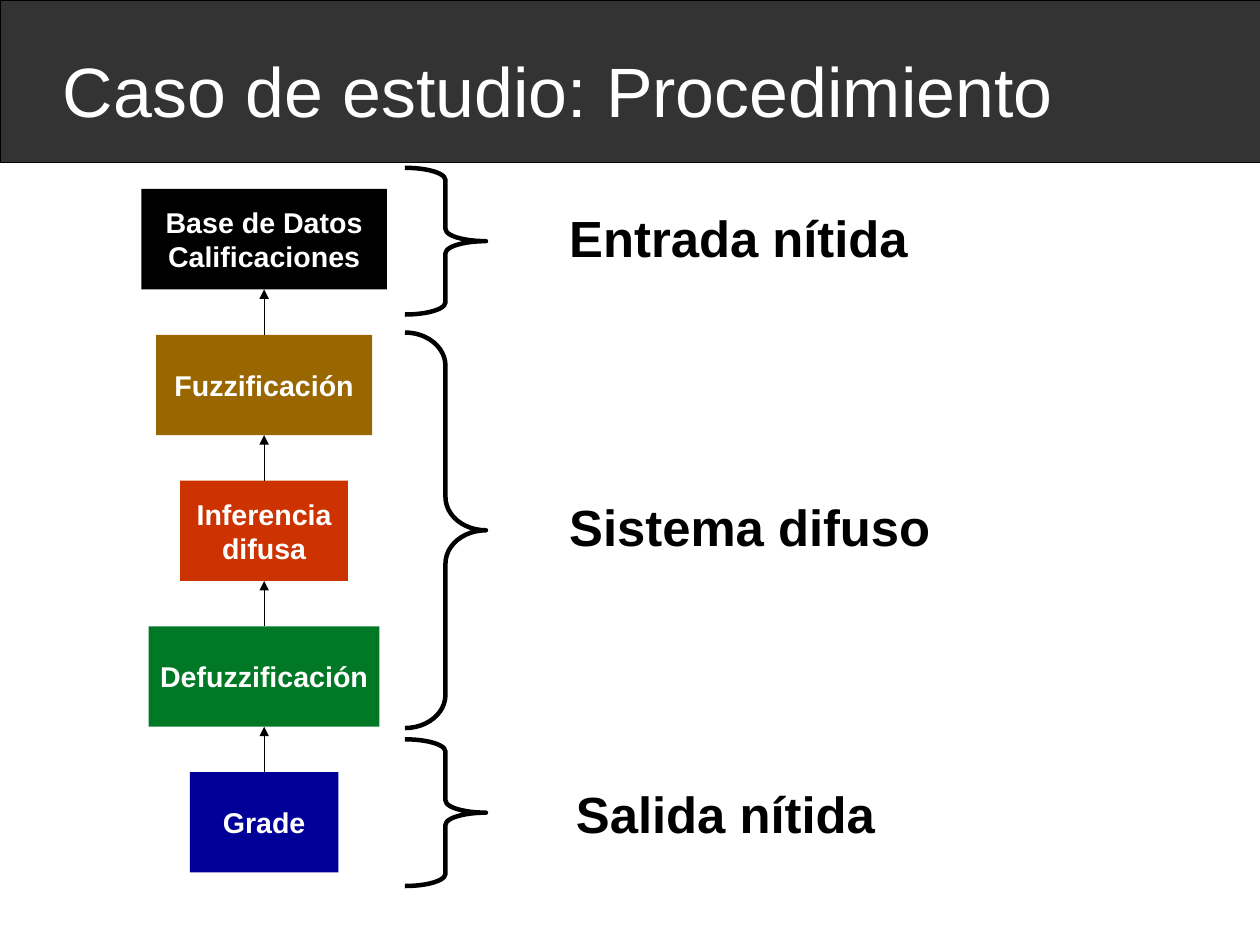
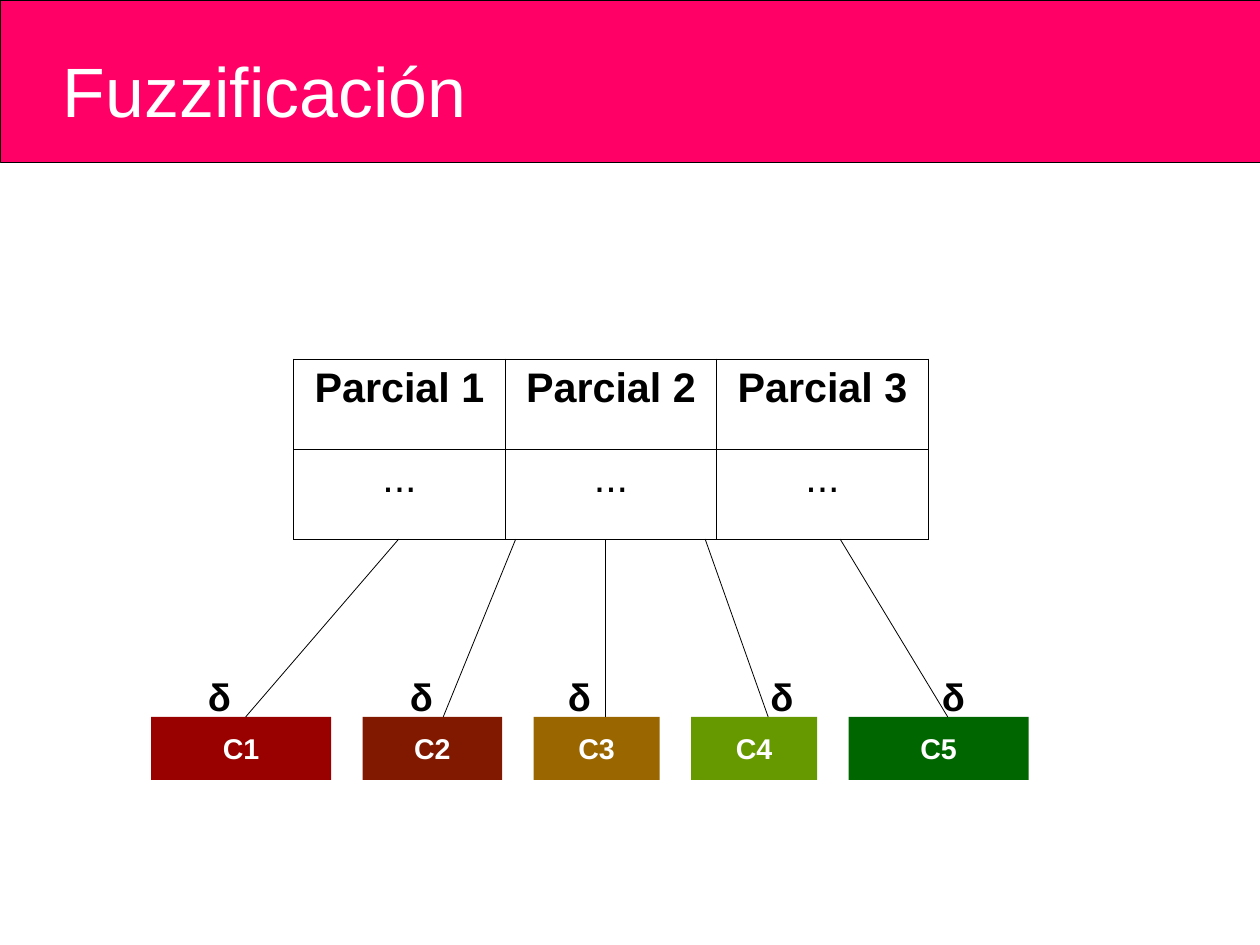
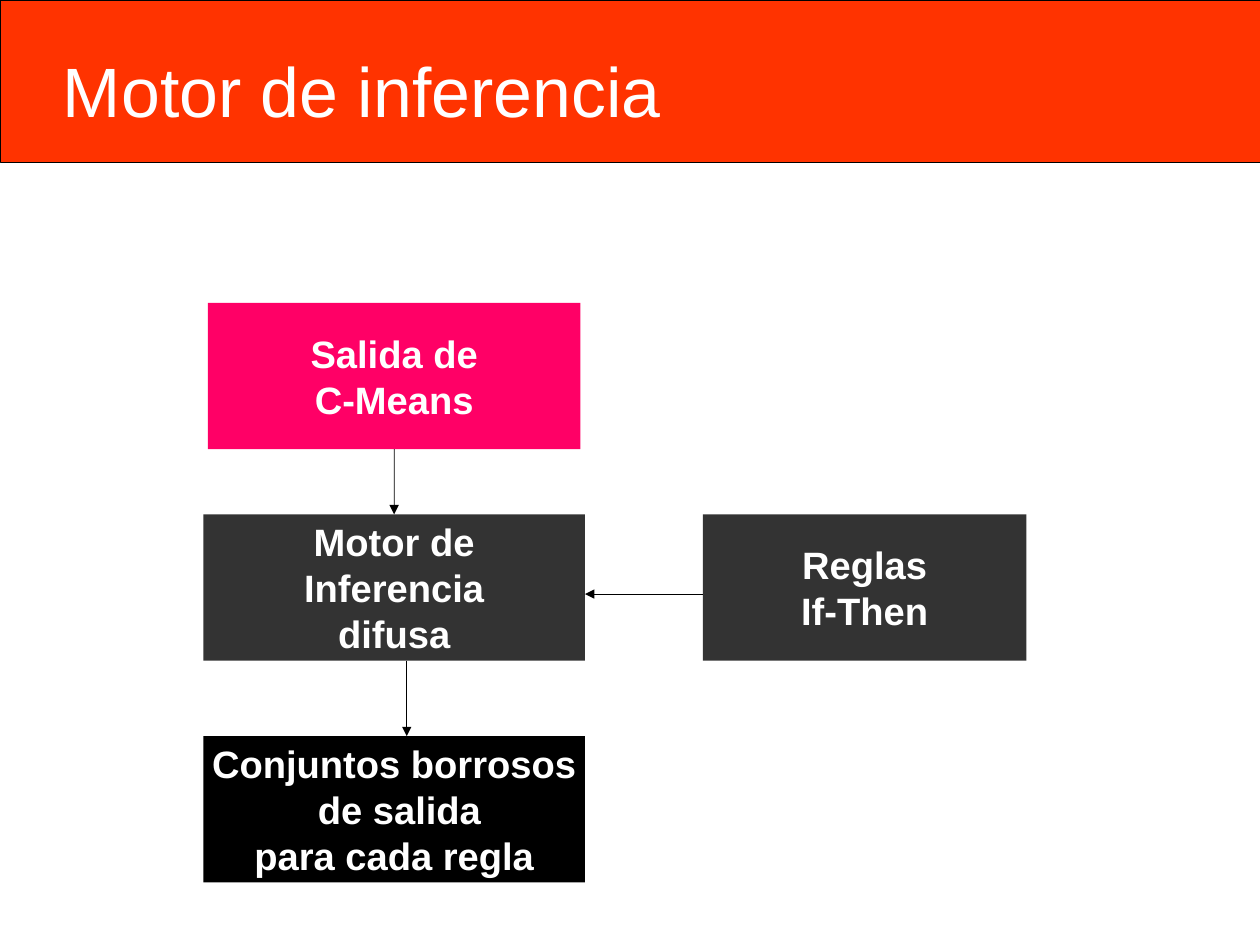
from dataclasses import dataclass

from lxml.etree import SubElement
from pptx import Presentation
from pptx.dml.color import RGBColor
from pptx.enum.shapes import MSO_CONNECTOR as LINE, MSO_SHAPE as SHAPE
from pptx.enum.text import MSO_ANCHOR as ANCHOR, MSO_AUTO_SIZE as AUTO, PP_ALIGN as ALIGN
from pptx.oxml import parse_xml
from pptx.oxml.ns import nsdecls, qn
from pptx.util import Cm, Pt


@dataclass(frozen=True)
class Theme:
    font: str = "Arial"
    white: str = "FFFFFF"
    black: str = "000000"
    dark: str = "333333"
    pink: str = "FF0066"
    orange: str = "FF3300"
    ochre: str = "996600"
    red: str = "CC3300"
    green: str = "007826"
    navy: str = "000099"
    crimson: str = "990000"
    brown: str = "801900"
    lime: str = "669900"
    forest: str = "006600"
    title: int = 44
    label: int = 32
    cell: int = 26
    large: int = 24
    small: int = 18
    hairline: float = 0.5
    brace: float = 2.83


T = Theme()
rgb = RGBColor.from_string


def write(sp, text, size=T.small, color=T.white, bold=True, align=ALIGN.CENTER,
          anchor=ANCHOR.MIDDLE, wrap=True, inset=None, fill=None):
    if fill:
        sp.fill.solid()
        sp.fill.fore_color.rgb = rgb(fill)
        sp.line.fill.background()
        sp.shadow.inherit = False
    tf = sp.text_frame
    tf.text = text
    tf.auto_size = AUTO.NONE
    tf.word_wrap = wrap
    tf.vertical_anchor = anchor
    if inset is not None:
        tf.margin_left = tf.margin_right = tf.margin_top = tf.margin_bottom = Cm(inset)
    for p in tf.paragraphs:
        p.alignment = align
        for r in p.runs:
            r.font.name = T.font
            r.font.size = Pt(size)
            r.font.bold = bold
            r.font.color.rgb = rgb(color)
    return sp


def connect(s, x1, y1, x2, y2, arrow=True):
    line = s.shapes.add_connector(LINE.STRAIGHT, Cm(x1), Cm(y1), Cm(x2), Cm(y2))
    line.line.color.rgb = rgb(T.black)
    line.line.width = Pt(T.hairline)
    if arrow:
        SubElement(line.line._get_or_add_ln(), qn("a:tailEnd"), type="triangle")
    SubElement(line._element.spPr, qn("a:effectLst"))
    return line


prs = Presentation()
prs.slide_width, prs.slide_height = Cm(28), Cm(21)

slides = []
for title, color in [
    ("Caso de estudio: Procedimiento", T.dark),
    ("Fuzzificación", T.pink),
    ("Motor de inferencia", T.orange),
]:
    s = prs.slides.add_slide(prs.slide_layouts[5])
    sp = s.shapes.title
    sp.left, sp.top, sp.width, sp.height = Cm(1.4), Cm(0.25), Cm(25.8), Cm(3.48)
    write(sp, title, size=T.title, bold=False, align=ALIGN.LEFT, inset=0)
    band = s.shapes.add_shape(SHAPE.RECTANGLE, 0, 0, prs.slide_width, Cm(3.6))
    band.fill.solid()
    band.fill.fore_color.rgb = rgb(color)
    band.line.color.rgb = rgb(T.black)
    band.line.width = Pt(T.hairline)
    band.shadow.inherit = False
    sp._element.addprevious(band._element)
    slides.append(s)
procedure, fuzzification, engine = slides

s = procedure
center, top, step, height = 5.87, 4.2, 3.24, 2.23
above = None
for i, (text, width, color) in enumerate([
    ("Base de Datos\vCalificaciones", 5.46, T.black),
    ("Fuzzificación", 4.8, T.ochre),
    ("Inferencia\vdifusa", 3.73, T.red),
    ("Defuzzificación", 5.13, T.green),
    ("Grade", 3.3, T.navy),
]):
    y = top + i * step
    sp = s.shapes.add_shape(SHAPE.RECTANGLE, Cm(center - width / 2), Cm(y), Cm(width), Cm(height))
    write(sp, text, wrap=False, fill=color)
    if above:
        line = connect(s, center, y, center, y - step + height)
        line.begin_connect(sp, 0)
        line.end_connect(above, 2)
    above = sp

for text, x, y, brace_y, brace_h, curve in [
    ("Entrada nítida", 12.4, 4.47, 3.73, 3.26, 0.15),
    ("Sistema difuso", 12.4, 10.9, 7.39, 8.79, 0.41),
    ("Salida nítida", 12.55, 17.27, 16.43, 3.26, 0.15),
]:
    brace = s.shapes.add_shape(SHAPE.RIGHT_BRACE, Cm(9), Cm(brace_y), Cm(1.8), Cm(brace_h))
    brace.adjustments[0] = curve
    brace.fill.background()
    brace.line.color.rgb = rgb(T.black)
    brace.line.width = Pt(T.brace)
    brace.shadow.inherit = False
    sp = s.shapes.add_textbox(Cm(x), Cm(y), Cm(9), Cm(1.52))
    write(sp, text, size=T.label, color=T.black, align=ALIGN.LEFT, anchor=ANCHOR.TOP)

s = fuzzification
rows = [["Parcial 1", "Parcial 2", "Parcial 3"], ["..."] * 3]
table_y, table_h = 7.98, 4
table = s.shapes.add_table(2, 3, Cm(6.53), Cm(table_y), Cm(14.1), Cm(table_h)).table
table.first_row = table.horz_banding = False
for i, row in enumerate(rows):
    for j, text in enumerate(row):
        cell = table.cell(i, j)
        write(cell, text, size=T.cell, color=T.black, bold=i == 0, anchor=ANCHOR.TOP)
        cell.fill.background()
        tcPr = cell._tc.get_or_add_tcPr()
        for k, side in enumerate("LRTB"):
            tcPr.insert(k, parse_xml(
                f'<a:ln{side} {nsdecls("a")} w="{Pt(0.57)}"><a:solidFill>'
                f'<a:srgbClr val="{T.black}"/></a:solidFill></a:ln{side}>'))

x, y, gap = 3.36, 15.93, 0.7
for text, width, color, start, end, delta in [
    ("C1", 4, T.crimson, 5.46, 8.86, 4.37),
    ("C2", 3.1, T.brown, 9.85, 11.46, 8.86),
    ("C3", 2.8, T.ochre, 13.46, 13.46, 12.37),
    ("C4", 2.8, T.lime, 17.07, 15.67, 16.87),
    ("C5", 4, T.forest, 21.06, 18.67, 20.68),
]:
    sp = s.shapes.add_shape(SHAPE.RECTANGLE, Cm(x), Cm(y), Cm(width), Cm(1.4))
    write(sp, text, wrap=False, fill=color)
    connect(s, start, y, end, table_y + table_h, arrow=False)
    sp = s.shapes.add_textbox(Cm(delta), Cm(14.83), Cm(2.18), Cm(1.2))
    write(sp, "δ", size=T.large, color=T.black, align=ALIGN.LEFT, anchor=ANCHOR.TOP)
    x += width + gap

s = engine
height = 3.25
boxes = []
for text, x, y, width, color in [
    ("Salida de\nC-Means", 4.62, 6.73, 8.28, T.pink),
    ("Motor de\nInferencia\vdifusa", 4.52, 11.43, 8.48, T.dark),
    ("Reglas\vIf-Then", 15.62, 11.43, 7.19, T.dark),
    ("Conjuntos borrosos\v de salida\vpara cada regla", 4.52, 16.36, 8.48, T.black),
]:
    sp = s.shapes.add_shape(SHAPE.RECTANGLE, Cm(x), Cm(y), Cm(width), Cm(height))
    boxes.append(write(sp, text, size=T.large, wrap=False, fill=color))

line = connect(s, 8.76, 9.98, 8.76, 11.43)
line.begin_connect(boxes[0], 2)
line.end_connect(boxes[1], 0)
connect(s, 9.04, 14.68, 9.04, 16.36)
connect(s, 15.62, 13.2, 13, 13.2)

prs.save("out.pptx")
